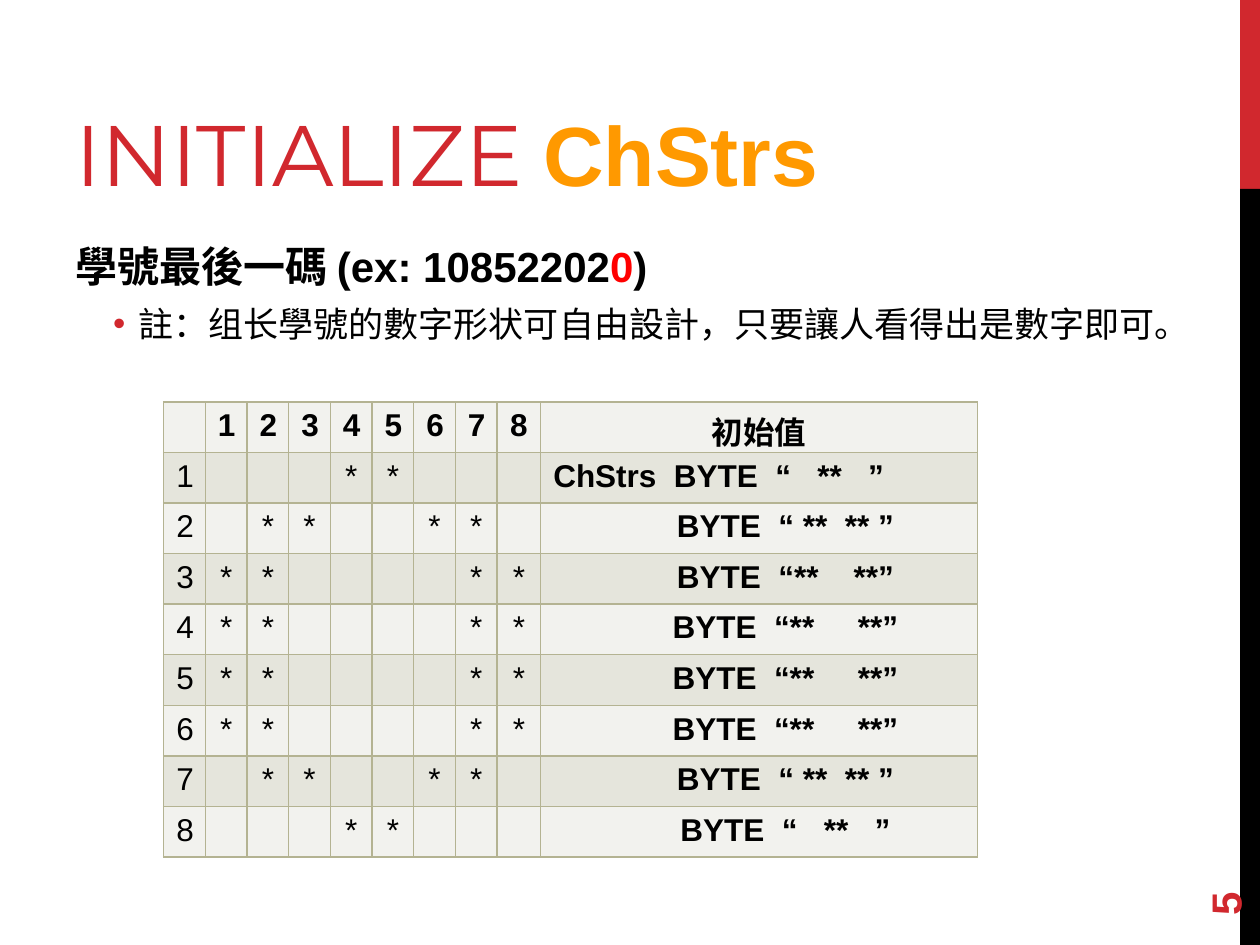
from dataclasses import dataclass

from lxml.etree import SubElement
from pptx import Presentation
from pptx.dml.color import RGBColor
from pptx.enum.shapes import MSO_SHAPE
from pptx.enum.text import MSO_ANCHOR, MSO_AUTO_SIZE, PP_ALIGN
from pptx.oxml import parse_xml
from pptx.oxml.ns import nsdecls, qn
from pptx.util import Cm, Pt


@dataclass(frozen=True)
class Theme:
    """Colours, fonts and type sizes of the slide."""
    red: str = "D1282E"
    black: str = "000000"
    orange: str = "FF9900"
    mark: str = "FF0000"
    band_light: str = "F2F2EE"
    band_dark: str = "E5E5DC"
    border: str = "B4B392"
    font: str = "Arial"
    title_font: str = "Montserrat"
    title: int = 49
    title_gap: int = 44
    title_name: int = 48
    body: int = 24
    note: int = 20
    cell: int = 18


T = Theme()
BITMAP = ["   **   ", " **  ** ", "**    **", "**    **",
          "**    **", "**    **", " **  ** ", "   **   "]
CODE = ["ChStrs  BYTE  “   **   ”", "BYTE  “ **  ** ”", "BYTE  “**    **”",
        "BYTE  “**     **”", "BYTE  “**     **”", "BYTE  “**     **”",
        "BYTE  “ **  ** ”", "BYTE  “   **   ”"]


def add_run(p, text, size, color=T.black, bold=False, font=T.font):
    """Append a formatted run to a paragraph."""
    r = p.add_run()
    r.text = text
    r.font.size, r.font.bold, r.font.name = Pt(size), bold, font
    r.font.color.rgb = RGBColor.from_string(color)


def add_bar(s, top, height, color):
    """Add one block of the band on the right edge."""
    sp = s.shapes.add_shape(MSO_SHAPE.RECTANGLE, Cm(25), Cm(top), Cm(0.4), Cm(height))
    sp.shadow.inherit = False
    sp.fill.solid()
    sp.fill.fore_color.rgb = RGBColor.from_string(color)
    sp.line.fill.background()


def add_text(s, left, top, width, height, anchor=MSO_ANCHOR.TOP):
    """Add a wrapping text box and return it."""
    sp = s.shapes.add_textbox(Cm(left), Cm(top), Cm(width), Cm(height))
    sp.text_frame.word_wrap = True
    sp.text_frame.vertical_anchor = anchor
    return sp


def set_title(s):
    """Place and format the title."""
    sp = s.shapes.title
    sp.left, sp.top, sp.width, sp.height = Cm(1.27), Cm(0.43), Cm(21.84), Cm(3.81)
    tf = sp.text_frame
    tf.auto_size, tf.vertical_anchor = MSO_AUTO_SIZE.NONE, MSO_ANCHOR.BOTTOM
    p = tf.paragraphs[0]
    p.alignment = PP_ALIGN.LEFT
    add_run(p, "INITIALIZE", T.title, T.red, font=T.title_font)
    add_run(p, " ", T.title_gap, T.red, font=T.title_font)
    add_run(p, "ChStrs", T.title_name, T.orange, True)


def add_bullet(p, color):
    """Give a paragraph a hanging coloured bullet."""
    pPr = p._p.get_or_add_pPr()
    pPr.set("marL", str(Cm(1.27)))
    pPr.set("indent", str(Cm(-0.51)))
    SubElement(SubElement(pPr, qn("a:buClr")), qn("a:srgbClr")).set("val", color)
    SubElement(pPr, qn("a:buFont")).set("typeface", T.font)
    SubElement(pPr, qn("a:buChar")).set("char", "•")


def add_body(s):
    """Add the heading line and the bulleted note."""
    tf = add_text(s, 1.27, 4.88, 22.63, 12.14).text_frame
    p = tf.paragraphs[0]
    p.line_spacing = 0.85
    add_run(p, "學號最後一碼 (ex: 10852202", T.body, bold=True)
    add_run(p, "0", T.body, T.mark, True)
    add_run(p, ")", T.body, bold=True)
    p = tf.add_paragraph()
    p.line_spacing, p.space_before = 0.85, Pt(10)
    add_bullet(p, T.red)
    add_run(p, "註：组长學號的數字形状可自由設計，只要讓人看得出是數字即可。", T.note)


def add_page_number(s):
    """Add the rotated page number."""
    sp = add_text(s, 22.86, 16.36, 3.66, 1.02, MSO_ANCHOR.MIDDLE)
    sp.rotation = 270
    add_run(sp.text_frame.paragraphs[0], "5", T.body, T.red, True)


def format_cell(cell, text, fill, bold, align, indent):
    """Fill, border and write one table cell."""
    cell.fill.solid()
    cell.fill.fore_color.rgb = RGBColor.from_string(fill)
    tcPr = cell._tc.get_or_add_tcPr()
    for i, side in enumerate("LRTB"):
        tcPr.insert(i, parse_xml(
            f'<a:ln{side} {nsdecls("a")} w="{Pt(1)}"><a:solidFill>'
            f'<a:srgbClr val="{T.border}"/></a:solidFill></a:ln{side}>'))
    p = cell.text_frame.paragraphs[0]
    p.alignment = align
    if indent:
        p._p.get_or_add_pPr().set("marL", str(Cm(indent)))
    if text.strip():
        add_run(p, text, T.cell, bold=bold)


def add_bitmap_table(s):
    """Add the 8 by 8 digit grid with its code column."""
    rows = [["", *"12345678", "初始值"]]
    rows += [[str(n), *bits, code]
             for n, (bits, code) in enumerate(zip(BITMAP, CODE), 1)]
    last = len(rows[0]) - 1
    table = s.shapes.add_table(len(rows), last + 1, Cm(3.3), Cm(8.1),
                               Cm(16.41), Cm(9.14)).table
    for c, col in enumerate(table.columns):
        col.width = Cm({last - 1: 0.88, last: 8.81}.get(c, 0.84))
    for r, values in enumerate(rows):
        table.rows[r].height = Cm(1.02 if r else 0.84)
        fill = T.band_dark if r % 2 else T.band_light
        for c, text in enumerate(values):
            code = c == last and r > 0
            align = PP_ALIGN.LEFT if code and r == 1 else PP_ALIGN.CENTER
            indent = 1.06 if code and r > 1 else 0
            format_cell(table.cell(r, c), text, fill, r == 0 or code, align, indent)


def main():
    """Build the slide and save it."""
    prs = Presentation()
    prs.slide_width, prs.slide_height = Cm(25.4), Cm(19.05)
    s = prs.slides.add_slide(prs.slide_layouts[5])
    add_bar(s, 0, 3.81, T.red)
    add_bar(s, 3.81, 15.24, T.black)
    set_title(s)
    add_body(s)
    add_page_number(s)
    add_bitmap_table(s)
    prs.save("out.pptx")


main()
